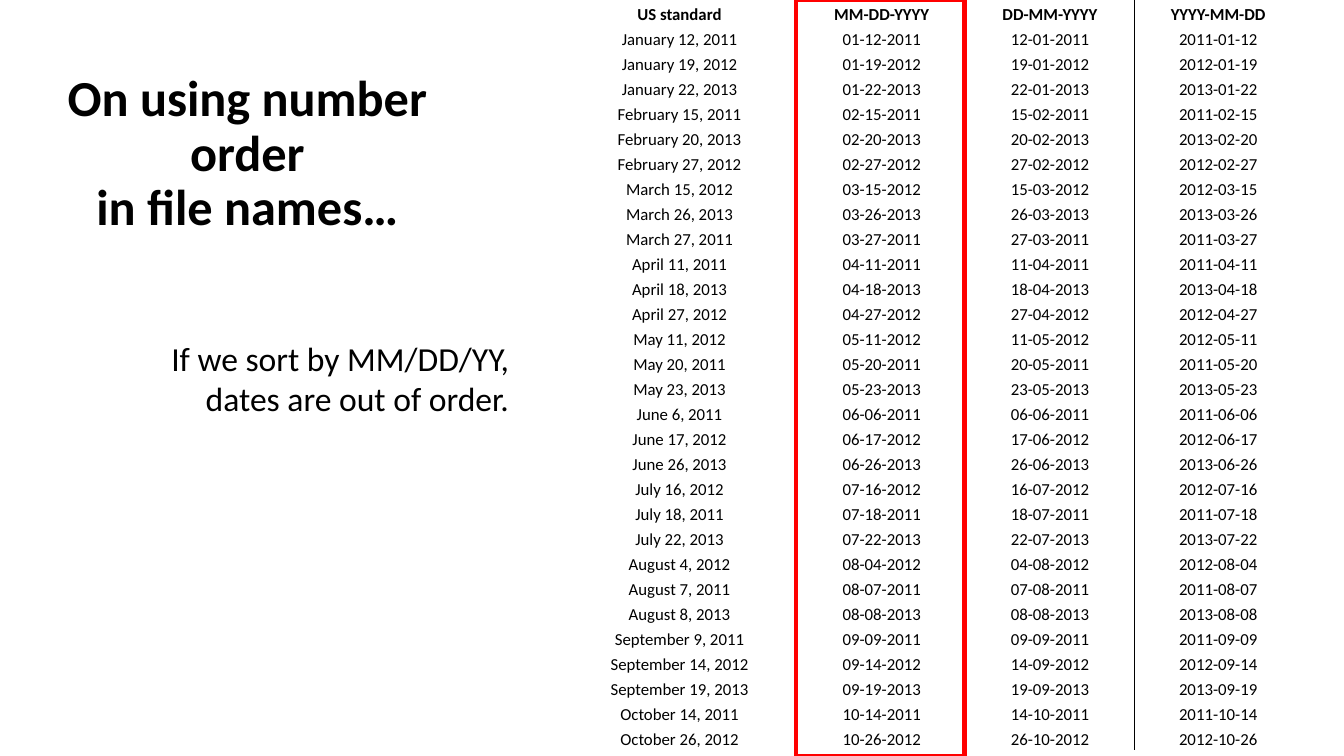
from lxml import etree
from pptx import Presentation
from pptx.dml.color import RGBColor
from pptx.enum.shapes import MSO_SHAPE
from pptx.enum.text import MSO_ANCHOR, MSO_AUTO_SIZE, PP_ALIGN
from pptx.oxml.ns import qn
from pptx.util import Cm, Pt

RECT = MSO_SHAPE.RECTANGLE
MIDDLE, BOTTOM = MSO_ANCHOR.MIDDLE, MSO_ANCHOR.BOTTOM
FIXED, GROW = MSO_AUTO_SIZE.NONE, MSO_AUTO_SIZE.SHAPE_TO_FIT_TEXT
CENTER, RIGHT = PP_ALIGN.CENTER, PP_ALIGN.RIGHT

COLORS = {"ink": "000000", "mark": "FF0000"}
PLAIN = "{2D5ABB26-0587-4C30-8999-92F81FD0307C}"
WIDE, HIGH = 33.87, 19.05
LEFT, ROW = 14.15, 0.63
WIDTHS = [5.95, 4.24, 4.24, 4.24]

MONTHS = ["January", "February", "March", "April", "May", "June", "July",
          "August", "September", "October"]
HEADS = ["US standard", "MM-DD-YYYY", "DD-MM-YYYY", "YYYY-MM-DD"]
DATES = """
01-12-2011 01-19-2012 01-22-2013 02-15-2011 02-20-2013 02-27-2012
03-15-2012 03-26-2013 03-27-2011 04-11-2011 04-18-2013 04-27-2012
05-11-2012 05-20-2011 05-23-2013 06-06-2011 06-17-2012 06-26-2013
07-16-2012 07-18-2011 07-22-2013 08-04-2012 08-07-2011 08-08-2013
09-09-2011 09-14-2012 09-19-2013 10-14-2011 10-26-2012
""".split()


def forms(date):
    """Write one MM-DD-YYYY date in the four column formats."""
    month, day, year = date.split("-")
    name = MONTHS[int(month) - 1]
    return [f"{name} {int(day)}, {year}", date,
            f"{day}-{month}-{year}", f"{year}-{month}-{day}"]


class Deck:
    """Holds the text style and the current slide; lengths are in cm."""

    def __init__(self, font):
        self.font = font
        self.prs = Presentation()
        self.prs.slide_width, self.prs.slide_height = Cm(WIDE), Cm(HIGH)
        self.slide = self.prs.slides.add_slide(self.prs.slide_layouts[5])

    def style(self, frame, size, align, bold=False):
        for para in frame.paragraphs:
            para.alignment = align
            for run in para.runs:
                font = run.font
                font.name, font.size, font.bold = self.font, Pt(size), bold
                font.color.rgb = RGBColor.from_string(COLORS["ink"])

    def title(self, text, x, y, w, h):
        shape = self.slide.shapes.title
        shape.left, shape.top, shape.width, shape.height = map(Cm, (x, y, w, h))
        frame = shape.text_frame
        frame.text = text
        frame.word_wrap, frame.auto_size = True, FIXED
        frame.vertical_anchor = MIDDLE
        frame.paragraphs[0].line_spacing = 0.9
        self.style(frame, 36, CENTER, True)

    def note(self, text, x, y, w, h):
        frame = self.slide.shapes.add_textbox(*map(Cm, (x, y, w, h))).text_frame
        frame.text = text
        frame.word_wrap, frame.auto_size = True, GROW
        self.style(frame, 24, RIGHT)

    def edge(self, cell, side):
        """Draw a thin line on one side ("lnL" or "lnR") of a cell."""
        line = etree.Element(qn(f"a:{side}"), w=str(Pt(0.5)))
        fill = etree.SubElement(line, qn("a:solidFill"))
        etree.SubElement(fill, qn("a:srgbClr"), val=COLORS["ink"])
        cell._tc.get_or_add_tcPr().insert(0, line)

    def table(self, rows, x, y, widths, high):
        frame = self.slide.shapes.add_table(
            len(rows), len(widths), Cm(x), Cm(y),
            Cm(sum(widths)), Cm(high * len(rows)))
        grid = frame.table
        grid.first_row = grid.horz_banding = False
        grid._tbl.tblPr.find(qn("a:tableStyleId")).text = PLAIN
        for col, wide in zip(grid.columns, widths):
            col.width = Cm(wide)
        for r, row in enumerate(rows):
            grid.rows[r].height = Cm(high)
            for c, text in enumerate(row):
                cell = grid.cell(r, c)
                cell.text = text
                cell.fill.background()
                cell.vertical_anchor = BOTTOM
                cell.margin_left = cell.margin_right = Cm(0.05)
                cell.margin_top, cell.margin_bottom = Cm(0.02), 0
                self.style(cell.text_frame, 12, CENTER, r == 0)
            self.edge(grid.cell(r, 0), "lnR")
            self.edge(grid.cell(r, len(row) - 1), "lnL")

    def frame(self, x, y, w, h):
        shape = self.slide.shapes.add_shape(RECT, *map(Cm, (x, y, w, h)))
        shape.shadow.inherit = False
        shape.fill.background()
        shape.line.color.rgb = RGBColor.from_string(COLORS["mark"])
        shape.line.width = Pt(3)


def main():
    deck = Deck("Calibri")
    deck.table([HEADS] + [forms(date) for date in DATES], LEFT, 0, WIDTHS, ROW)
    deck.title("On using number order\vin file names…", 0, 0, 12.47, 7.8)
    deck.note("If we sort by MM/DD/YY,\ndates are out of order.",
              0.56, 8.38, 12.52, 2.31)
    deck.frame(LEFT + WIDTHS[0] - 0.03, 0, WIDTHS[1], HIGH)
    deck.prs.save("out.pptx")


if __name__ == "__main__":
    main()
